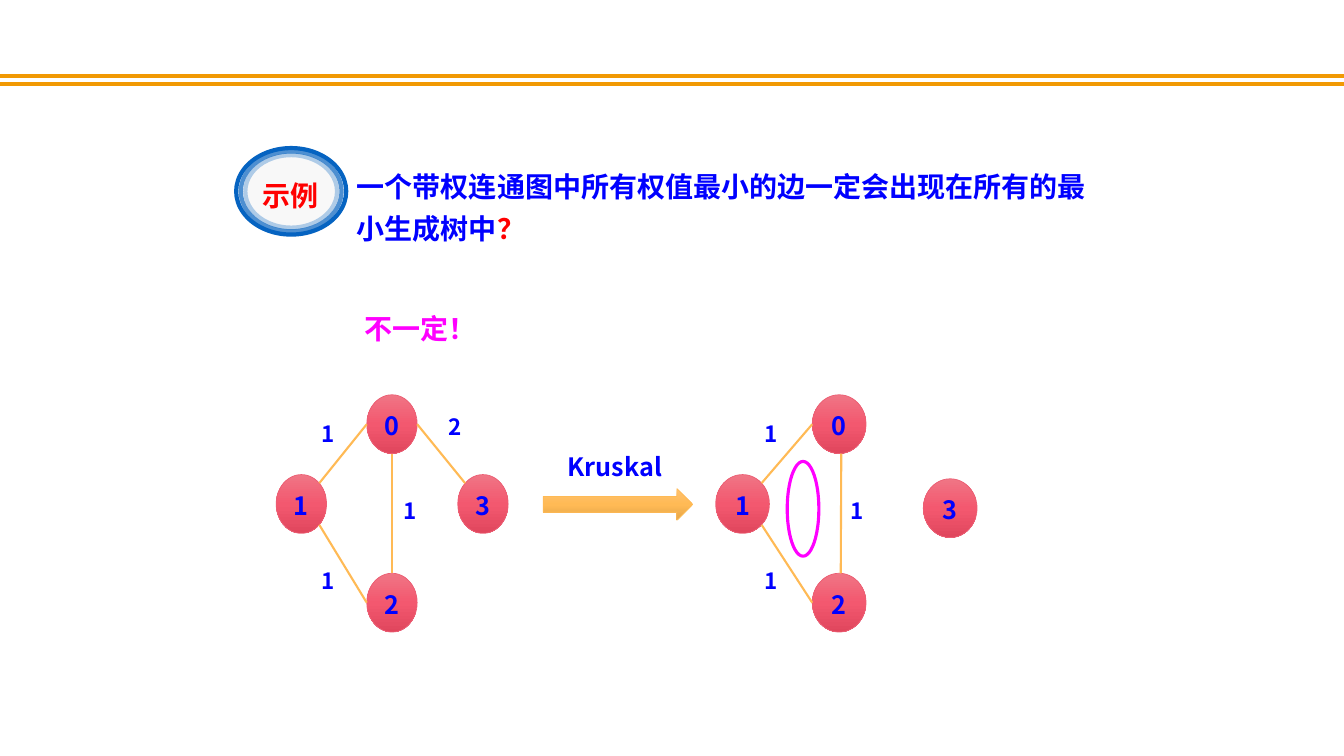
from dataclasses import dataclass

from lxml.etree import SubElement
from pptx import Presentation
from pptx.dml.color import RGBColor
from pptx.enum.shapes import MSO_CONNECTOR, MSO_SHAPE
from pptx.enum.text import MSO_ANCHOR, MSO_AUTO_SIZE, PP_ALIGN
from pptx.oxml import parse_xml
from pptx.oxml.ns import nsdecls, qn
from pptx.util import Pt


@dataclass(frozen=True)
class Theme:
    font: str = "Noto Sans CJK SC"
    ink: str = "0000FF"
    alert: str = "FF0000"
    answer: str = "FF00FF"
    rule: str = "F19903"
    edge: str = "FFBA55"
    node_line: str = "EC5F74"
    node_fill: tuple = ("F07585", "F3586F", "E0465D")
    arrow_fill: tuple = ("FFC270", "FFBA55", "E5A649")
    badge_line: str = "0563C1"
    badge_fill: str = "F8F8F8"
    body_size: int = 20
    node_size: int = 18
    weight_size: int = 16


class SlideBuilder:
    def __init__(self, slide, theme):
        self.slide, self.theme = slide, theme
        self.shapes = slide.shapes

    def group(self):
        """Direct the following elements into a new group."""
        self.shapes = self.slide.shapes.add_group_shape().shapes

    def ungroup(self):
        self.shapes = self.slide.shapes

    def fill_frame(self, frame, text, size, color, spacing=Pt(30), align=PP_ALIGN.LEFT, inset=0):
        frame.text = text
        frame.word_wrap = True
        frame.margin_left = frame.margin_right = Pt(inset)
        frame.margin_top = frame.margin_bottom = Pt(inset / 2)
        paragraph = frame.paragraphs[0]
        paragraph.alignment, paragraph.line_spacing = align, spacing
        paragraph.space_before = Pt(0)
        self.style(paragraph.runs[0], size, color)

    def style(self, run, size, color):
        run.font.size, run.font.bold = Pt(size), True
        run.font.name = self.theme.font
        run.font.color.rgb = RGBColor.from_string(color)
        SubElement(run.font._element, qn("a:ea"), typeface=self.theme.font)

    def title(self, box, text, ending):
        title = self.slide.shapes.title
        title.left, title.top, title.width, title.height = map(Pt, box)
        frame = title.text_frame
        self.fill_frame(frame, text, self.theme.body_size, self.theme.ink, inset=7.2)
        frame.vertical_anchor = MSO_ANCHOR.TOP
        frame.auto_size = MSO_AUTO_SIZE.NONE
        mark = frame.paragraphs[0].add_run()
        mark.text = ending
        self.style(mark, self.theme.body_size, self.theme.alert)

    def text(self, box, text, size, color, **layout):
        label = self.shapes.add_textbox(*map(Pt, box))
        self.fill_frame(label.text_frame, text, size, color, **layout)

    def line(self, start, end, color, width):
        line = self.shapes.add_connector(MSO_CONNECTOR.STRAIGHT, *map(Pt, start + end))
        line.line.color.rgb = RGBColor.from_string(color)
        line.line.width = Pt(width)
        SubElement(line._element.spPr, qn("a:effectLst"))

    def shape(self, kind, box, line, width, fill=None, opacity=100):
        """Draw a preset shape; fill is a colour, a tuple of gradient colours or None."""
        shape = self.shapes.add_shape(kind, *map(Pt, box))
        shape.shadow.inherit = False
        if isinstance(fill, tuple):
            stops = "".join(
                f'<a:gs pos="{i * 50000}"><a:srgbClr val="{color}"/></a:gs>'
                for i, color in enumerate(fill))
            shape._element.spPr.insert(2, parse_xml(
                f'<a:gradFill {nsdecls("a")}><a:gsLst>{stops}</a:gsLst>'
                '<a:lin ang="5400000" scaled="0"/></a:gradFill>'))
        elif fill:
            shape.fill.solid()
            shape.fill.fore_color.rgb = RGBColor.from_string(fill)
        else:
            shape.fill.background()
        shape.line.color.rgb = RGBColor.from_string(line)
        shape.line.width = Pt(width)
        if opacity < 100:
            color = shape._element.spPr.find(qn("a:ln")).find(".//" + qn("a:srgbClr"))
            SubElement(color, qn("a:alpha"), val=str(opacity * 1000))
        return shape

    def graph(self, node_width, nodes, edges, weights):
        """Nodes map a name to its corner; edge ends are (node, x, y) in half-axes."""
        theme, node_height = self.theme, 42

        def site(node, x, y):
            left, top = nodes[node]
            return left + node_width / 2 * (1 + x), top + node_height / 2 * (1 + y)

        self.group()
        for name, corner in nodes.items():
            node = self.shape(MSO_SHAPE.OVAL, (*corner, node_width, node_height),
                              theme.node_line, 0.5, theme.node_fill)
            self.fill_frame(node.text_frame, name, theme.node_size, theme.ink,
                            spacing=1.1, align=PP_ALIGN.CENTER)
            node.text_frame.vertical_anchor = MSO_ANCHOR.MIDDLE
        for start, end in edges:
            self.line(site(*start), site(*end), theme.edge, 1.5)
        for left, top, weight in weights:
            self.text((left, top, 13, 30), weight, theme.weight_size, theme.ink)
        self.ungroup()


def main():
    deck = Presentation()
    deck.slide_width, deck.slide_height = Pt(960), Pt(540)
    theme = Theme()
    page = SlideBuilder(deck.slides.add_slide(deck.slide_layouts[5]), theme)

    # Double rule across the top
    for y in (54.5, 60.2):
        page.line((0, y), (960, y), theme.rule, 3)

    # Question and answer
    page.title((247.7, 111.6, 540, 67.7),
               "一个带权连通图中所有权值最小的边一定会出现在所有的最小生成树中", "？")
    page.text((253.4, 213.1, 123.8, 37.4), "不一定！", theme.body_size, theme.answer, inset=7.2)

    # Weighted graph and the edges picked from it
    diagonal = 0.71
    left_edges = [
        (("0", -1, 0), ("1", diagonal, -diagonal)),
        (("1", diagonal, diagonal), ("2", -1, 0)),
    ]
    page.graph(
        36,
        {"1": (197.3, 339), "2": (262, 409.5), "0": (262, 282), "3": (327, 339)},
        left_edges + [(("0", 0, 1), ("2", 0, -1)),
                      (("0", 1, 0), ("3", -diagonal, -diagonal))],
        [(229.7, 289.4, "1"), (229.7, 394.6, "1"), (288, 344.2, "1"), (320.4, 284.4, "2")])
    page.graph(
        38.4,
        {"1": (511.2, 339), "2": (580.2, 409.5), "0": (580.2, 282), "3": (659.5, 342)},
        left_edges + [(("0", 0.08, 1), ("2", 0.06, -1))],
        [(545.8, 289.4, "1"), (545.8, 394.6, "1"), (607.7, 344.2, "1")])

    # Algorithm arrow
    page.group()
    page.shape(MSO_SHAPE.RIGHT_ARROW, (388, 349, 106.8, 22.6), theme.edge, 0.5, theme.arrow_fill)
    page.text((405.4, 314, 90, 30), "Kruskal", theme.node_size, theme.ink)
    page.ungroup()

    # Loop marking the missing edge
    page.shape(MSO_SHAPE.OVAL, (562.3, 329.6, 22.6, 67.7), theme.answer, 2.25)

    # Example badge: three rings, fading inwards
    page.group()
    rings = [(78.6, 61.8, theme.badge_fill, 100), (72, 57, None, 70), (65.5, 51.8, None, 30)]
    for width, height, fill, opacity in rings:
        page.shape(MSO_SHAPE.OVAL, (208 - width / 2, 136.7 - height / 2, width, height),
                   theme.badge_line, 3, fill, opacity)
    page.text((172.8, 121.7, 69, 33.8), "示例", theme.body_size, theme.alert,
              spacing=1.1, align=PP_ALIGN.CENTER, inset=7.2)
    page.ungroup()

    deck.save("out.pptx")


if __name__ == "__main__":
    main()
